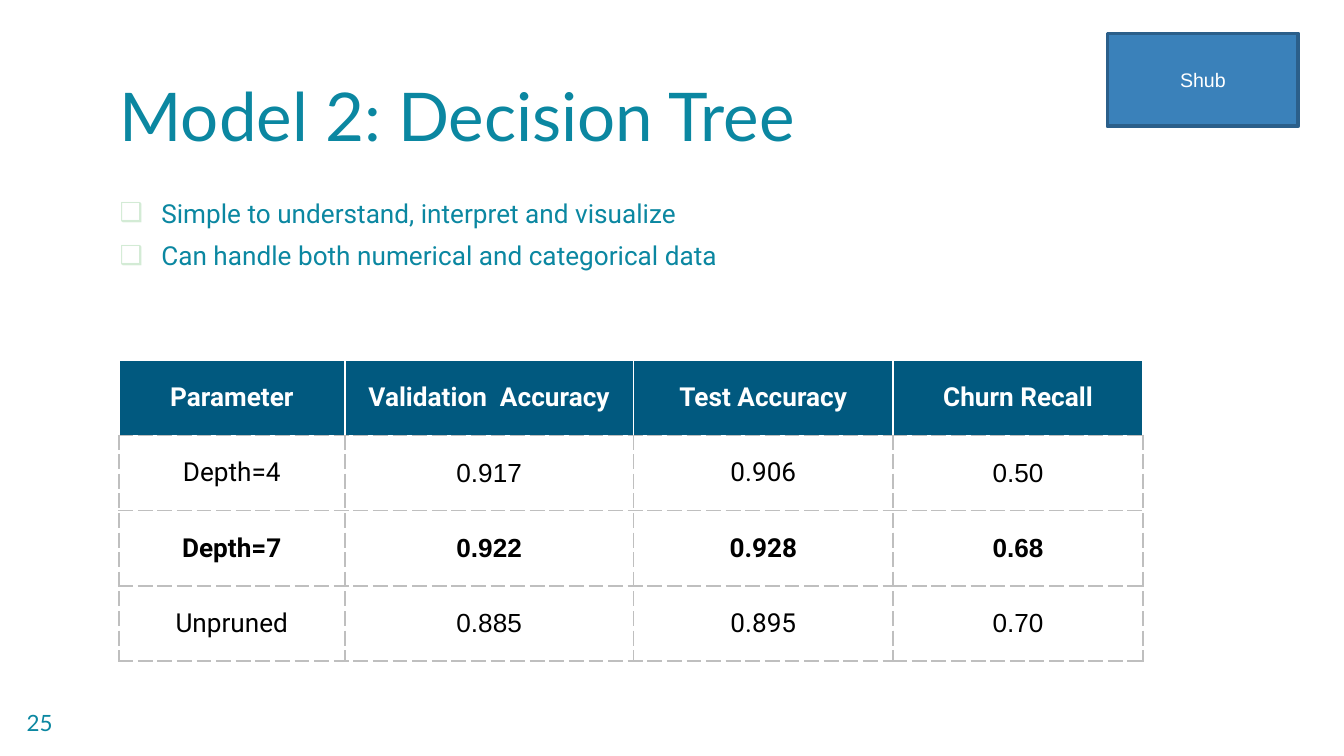
"""Build the decision tree results slide."""
import pptx
import pptx.dml.color
import pptx.enum.shapes
import pptx.enum.text
import pptx.oxml
import pptx.oxml.ns
import pptx.util

RGBColor = pptx.dml.color.RGBColor
ANCHOR = pptx.enum.text.MSO_ANCHOR
ALIGN = pptx.enum.text.PP_ALIGN

PX = 4572
TEAL = RGBColor(0x0B, 0x87, 0xA1)
MINT = RGBColor(0xD3, 0xEB, 0xD5)
NAVY = RGBColor(0x01, 0x59, 0x7F)
BLUE = RGBColor(0x3A, 0x81, 0xBA)
DARK_BLUE = RGBColor(0x2B, 0x5F, 0x8A)
GREY = RGBColor(0xBF, 0xBF, 0xBF)
WHITE = RGBColor(0xFF, 0xFF, 0xFF)
BLACK = RGBColor(0x00, 0x00, 0x00)

TABLE_LEFT = 177
TABLE_TOP = 536
ROW_HEIGHT = 112
BEST_ROW = 2
MODEL_ROWS = [
    ["Parameter", "Validation  Accuracy", "Test Accuracy"],
    ["Depth=4", "0.917", "0.906"],
    ["Depth=7", "0.922", "0.928"],
    ["Unpruned", "0.885", "0.895"],
]
RECALL_ROWS = [["Churn Recall"], ["0.50"], ["0.68"], ["0.70"]]


def px(*lengths):
    return [pptx.util.Emu(length * PX) for length in lengths]


def place(shape, *box):
    shape.left, shape.top, shape.width, shape.height = px(*box)


def set_frame(frame, anchor, margin=20):
    frame.word_wrap = True
    frame.auto_size = pptx.enum.text.MSO_AUTO_SIZE.NONE
    frame.vertical_anchor = anchor
    frame.margin_left = frame.margin_right = px(margin)[0]
    frame.margin_top = frame.margin_bottom = px(margin)[0]


def style(paragraph, size, name, color, bold=False, align=ALIGN.LEFT):
    paragraph.alignment = align
    font = paragraph.font
    font.size = pptx.util.Pt(size)
    font.name = name
    font.bold = bold
    font.color.rgb = color


def add_xml(parent, tag, content):
    namespace = pptx.oxml.ns.nsdecls("a")
    parent.append(pptx.oxml.parse_xml(f"<a:{tag} {namespace}{content}"))


def set_bullet(paragraph, character, color, indent):
    properties = paragraph._p.get_or_add_pPr()
    properties.set("marL", str(indent * PX))
    properties.set("indent", str(-indent * PX))
    add_xml(properties, "buClr", f'><a:srgbClr val="{color}"/></a:buClr>')
    add_xml(properties, "buChar", f' char="{character}"/>')


def set_border(cell, side, color, dash):
    add_xml(
        cell._tc.get_or_add_tcPr(),
        f"ln{side}",
        f' w="12700"><a:solidFill><a:srgbClr val="{color}"/></a:solidFill>'
        f'<a:prstDash val="{dash}"/></a:ln{side}>',
    )


def fill_title(slide, text):
    title = slide.shapes.title
    place(title, 158, 94, 1478, 156)
    set_frame(title.text_frame, ANCHOR.BOTTOM)
    title.text_frame.text = text
    style(title.text_frame.paragraphs[0], 36, "Lato", TEAL)


def fill_bullets(slide, lines):
    body = slide.placeholders[1]
    place(body, 158, 273, 1478, 216)
    set_frame(body.text_frame, ANCHOR.TOP)
    body.text_frame.text = "\n".join(lines)
    for paragraph in body.text_frame.paragraphs:
        paragraph.space_before = pptx.util.Pt(6)
        set_bullet(paragraph, "❑", MINT, 62)
        style(paragraph, 14, "Roboto", TEAL)


def add_page_number(slide, number):
    box = slide.shapes.add_textbox(*px(20, 1033, 120, 86))
    set_frame(box.text_frame, ANCHOR.MIDDLE)
    box.text_frame.text = number
    style(box.text_frame.paragraphs[0], 12, "Lato", TEAL)


def add_presenter_tag(slide, name):
    tag = slide.shapes.add_shape(
        pptx.enum.shapes.MSO_SHAPE.RECTANGLE, *px(1648, 50, 284, 138)
    )
    tag.shadow.inherit = False
    tag.fill.solid()
    tag.fill.fore_color.rgb = BLUE
    tag.line.color.rgb = DARK_BLUE
    tag.line.width = pptx.util.Pt(2)
    set_frame(tag.text_frame, ANCHOR.MIDDLE)
    tag.text_frame.text = name
    style(tag.text_frame.paragraphs[0], 10.5, "Arial", WHITE, align=ALIGN.CENTER)


def fill_cell(cell, text, font_name, is_header, is_bold):
    cell.text = text
    cell.vertical_anchor = ANCHOR.MIDDLE
    cell.margin_left = cell.margin_right = px(14)[0]
    cell.margin_top = cell.margin_bottom = px(8)[0]
    for side in "LRTB":
        if is_header and side != "B":
            set_border(cell, side, WHITE, "solid")
        else:
            set_border(cell, side, GREY, "sysDash")
    if is_header:
        cell.fill.solid()
        cell.fill.fore_color.rgb = NAVY
    else:
        cell.fill.background()
    color = WHITE if is_header else BLACK
    style(cell.text_frame.paragraphs[0], 14, font_name, color, is_bold, ALIGN.CENTER)


def add_results_table(slide, left, widths, rows, body_fonts):
    box = px(left, TABLE_TOP, sum(widths), ROW_HEIGHT * len(rows))
    table = slide.shapes.add_table(len(rows), len(widths), *box).table
    table.first_row = table.horz_banding = False
    for column, width in zip(table.columns, px(*widths)):
        column.width = width
    for row_index, texts in enumerate(rows):
        table.rows[row_index].height = px(ROW_HEIGHT)[0]
        is_header = row_index == 0
        is_bold = row_index in (0, BEST_ROW)
        for column_index, text in enumerate(texts):
            font_name = "Roboto" if is_header else body_fonts[column_index]
            cell = table.cell(row_index, column_index)
            fill_cell(cell, text, font_name, is_header, is_bold)


def main():
    presentation = pptx.Presentation()
    presentation.slide_width, presentation.slide_height = px(2000, 1125)
    slide = presentation.slides.add_slide(presentation.slide_layouts[1])
    fill_title(slide, "Model 2: Decision Tree")
    fill_bullets(slide, [
        "Simple to understand, interpret and visualize",
        "Can handle both numerical and categorical data",
    ])
    add_page_number(slide, "25")
    add_presenter_tag(slide, "Shub")
    model_widths = [336, 430, 386]
    model_fonts = ["Roboto", "Arial", "Roboto"]
    recall_left = TABLE_LEFT + sum(model_widths)
    add_results_table(slide, TABLE_LEFT, model_widths, MODEL_ROWS, model_fonts)
    add_results_table(slide, recall_left, [372], RECALL_ROWS, ["Arial"])
    presentation.save("out.pptx")


if __name__ == "__main__":
    main()
